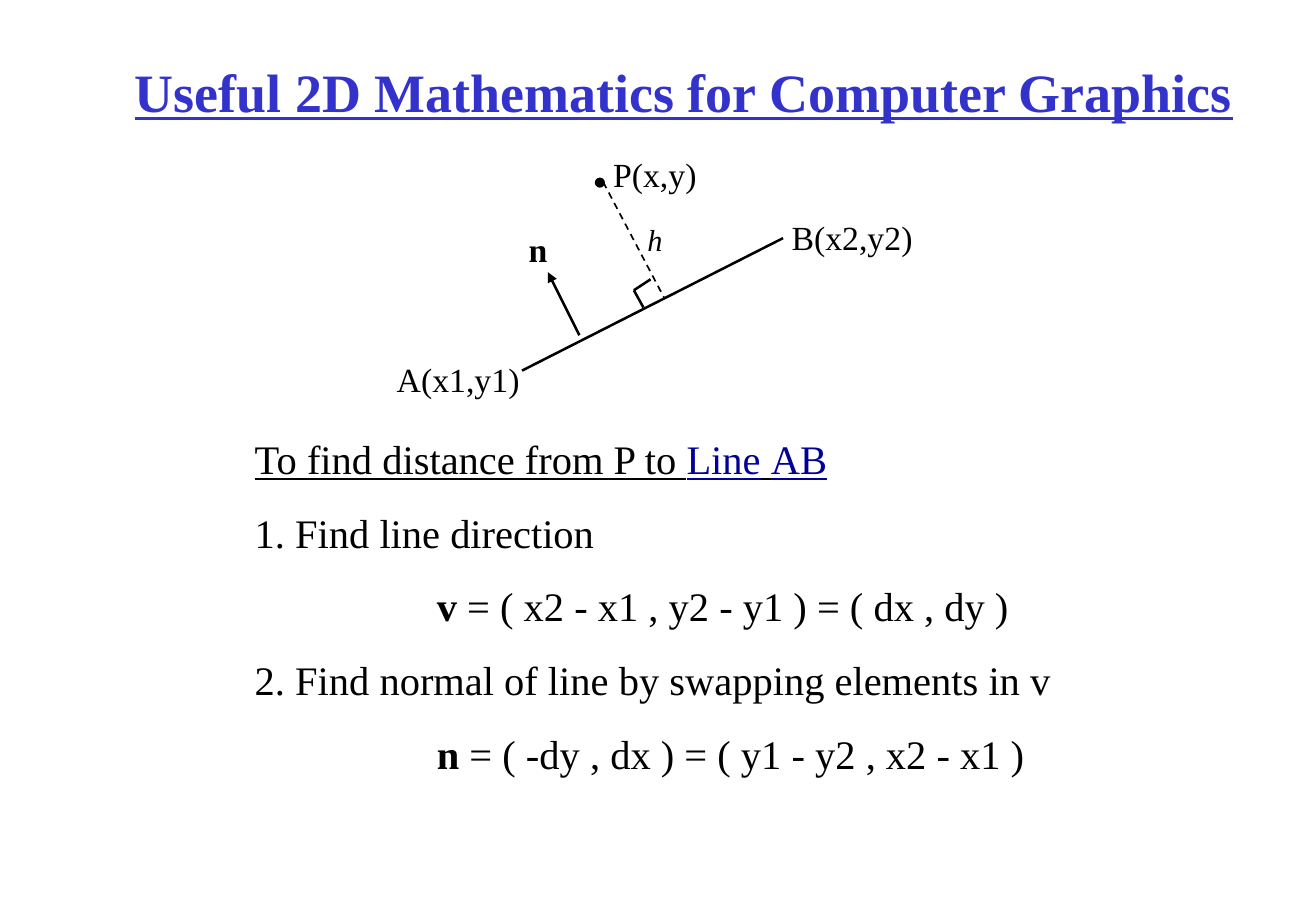
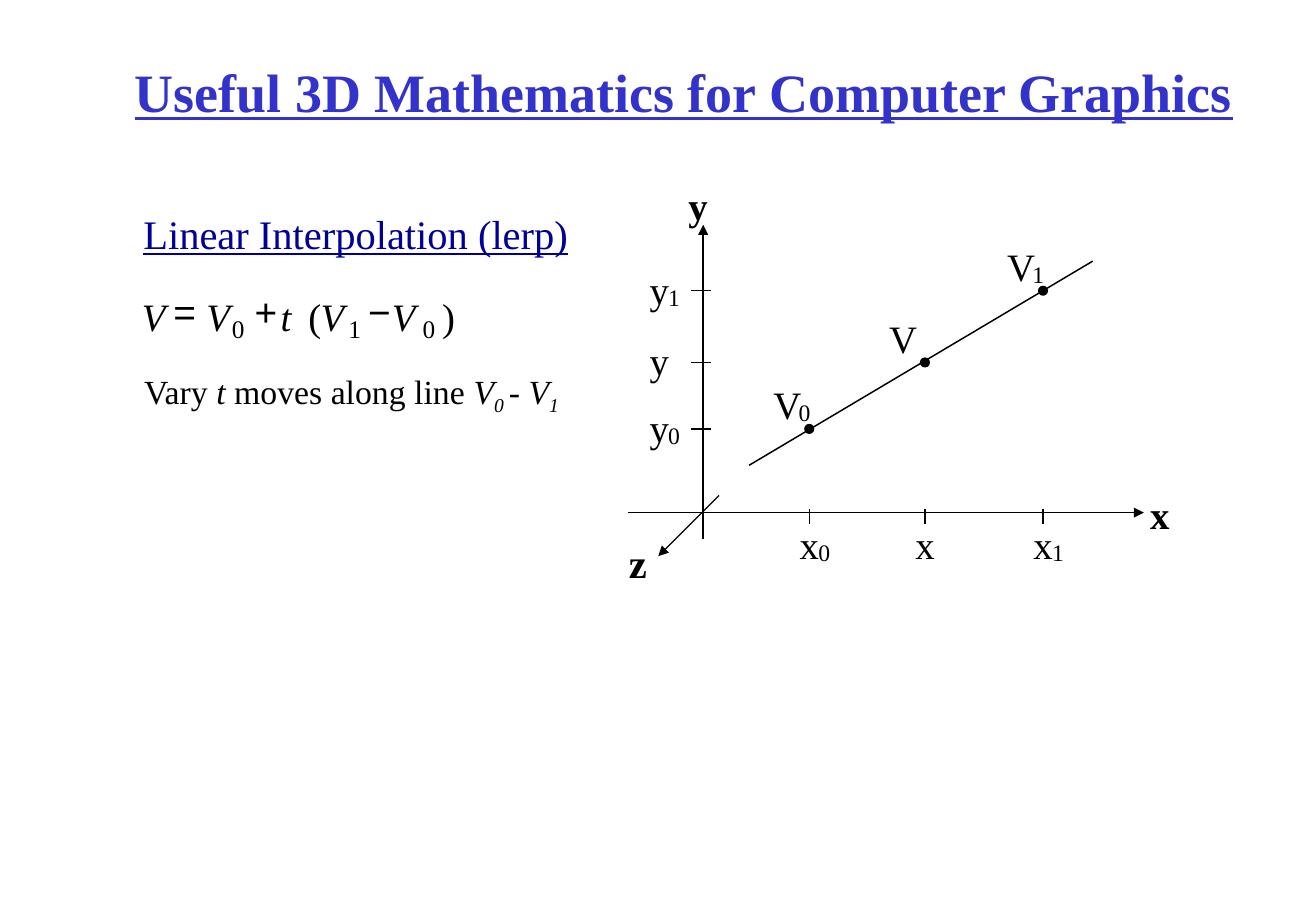
from dataclasses import dataclass

from lxml import etree
from pptx import Presentation
from pptx.dml.color import RGBColor
from pptx.enum import dml, shapes, text
from pptx.oxml import ns
from pptx.util import Cm, Pt

BLACK, TITLE_BLUE, LINK_BLUE = "000000", "3333CC", "000099"
SERIF, SANS = "Times New Roman", "Arial"
INSET_X, INSET_Y = 0.25, 0.13
LEFT, CENTER = text.PP_ALIGN.LEFT, text.PP_ALIGN.CENTER


@dataclass(frozen=True)
class Label:
    words: str
    left: float
    top: float
    width: float
    height: float = 1.12
    size: float = 20
    bold: bool = False
    italic: bool = False
    inset: bool = True


@dataclass(frozen=True)
class Glyph:
    sign: str
    left: float
    top: float
    size: float = 23
    font: str = SERIF
    bold: bool = False
    italic: bool = False


@dataclass(frozen=True)
class Segment:
    x1: float
    y1: float
    x2: float
    y2: float
    weight: float = 0.88
    arrow: bool = False
    dashed: bool = False


@dataclass(frozen=True)
class Vertex:
    x: float
    y: float
    index: str


def color(value: str) -> RGBColor:
    return RGBColor.from_string(value)


def write(paragraph, words: str, size: float = 24, font: str = SERIF, tint: str = BLACK,
          bold: bool = False, italic: bool = False, underline: bool = False,
          baseline: int = 0) -> None:
    run = paragraph.add_run()
    run.text = words
    run.font.size, run.font.name = Pt(size), font
    run.font.bold, run.font.italic, run.font.underline = bold, italic, underline
    run.font.color.rgb = color(tint)
    if baseline:
        run.font._element.set("baseline", str(baseline * 1000))


def add_box(slide, left: float, top: float, width: float, height: float,
            wrap: bool = True, inset: bool = True):
    frame = slide.shapes.add_textbox(Cm(left), Cm(top), Cm(width), Cm(height)).text_frame
    frame.word_wrap = wrap
    frame.auto_size = text.MSO_AUTO_SIZE.SHAPE_TO_FIT_TEXT
    frame.margin_left = frame.margin_right = Cm(INSET_X if inset else 0)
    frame.margin_top = frame.margin_bottom = Cm(INSET_Y if inset else 0)
    return frame


def add_label(slide, label: Label) -> None:
    frame = add_box(slide, label.left, label.top, label.width, label.height,
                    wrap=False, inset=label.inset)
    frame.paragraphs[0].alignment = CENTER
    write(frame.paragraphs[0], label.words, size=label.size, bold=label.bold,
          italic=label.italic)


def add_glyph(slide, glyph: Glyph) -> None:
    width = glyph.size * 0.018
    frame = add_box(slide, glyph.left, glyph.top, width, glyph.size * 0.042,
                    wrap=False, inset=False)
    write(frame.paragraphs[0], glyph.sign, size=glyph.size, font=glyph.font,
          bold=glyph.bold, italic=glyph.italic)


def add_indexed(slide, letter: str, index: str, left: float, top: float) -> None:
    add_glyph(slide, Glyph(letter, left, top))
    if index:
        shift = 0.53 if letter == "V" else 0.39
        add_glyph(slide, Glyph(index, left + shift, top + 0.36, size=14))


def add_segment(slide, segment: Segment) -> None:
    connector = slide.shapes.add_connector(
        shapes.MSO_CONNECTOR.STRAIGHT, Cm(segment.x1), Cm(segment.y1),
        Cm(segment.x2), Cm(segment.y2))
    connector.line.width = Pt(segment.weight)
    connector.line.color.rgb = color(BLACK)
    if segment.dashed:
        connector.line.dash_style = dml.MSO_LINE.DASH
    if segment.arrow:
        head = etree.SubElement(connector.line._get_or_add_ln(), ns.qn("a:tailEnd"))
        head.set("type", "triangle")
    etree.SubElement(connector._element.spPr, ns.qn("a:effectLst"))


def add_dot(slide, x: float, y: float, diameter: float = 0.18) -> None:
    dot = slide.shapes.add_shape(
        shapes.MSO_SHAPE.OVAL, Cm(x - diameter / 2), Cm(y - diameter / 2),
        Cm(diameter), Cm(diameter))
    dot.shadow.inherit = False
    dot.fill.solid()
    dot.fill.fore_color.rgb = color(BLACK)
    dot.line.color.rgb = color(BLACK)
    dot.line.width = Pt(0.88)


def add_titled_slide(deck, words: str):
    slide = deck.slides.add_slide(deck.slide_layouts[5])
    title = slide.shapes.title
    title.left, title.top, title.width, title.height = Cm(2.57), Cm(1.09), Cm(24.1), Cm(1.63)
    frame = title.text_frame
    frame.word_wrap = True
    frame.auto_size = text.MSO_AUTO_SIZE.NONE
    frame.vertical_anchor = text.MSO_ANCHOR.TOP
    frame.paragraphs[0].alignment = LEFT
    write(frame.paragraphs[0], words, size=32, tint=TITLE_BLUE, bold=True, underline=True)
    return slide


def build_distance_slide(deck) -> None:
    slide = add_titled_slide(deck, "Useful 2D Mathematics for Computer Graphics")
    for label in (
        Label("h", 13.5, 4.62, 0.41, 0.76, size=18, italic=True, inset=False),
        Label("A(x1,y1)", 7.85, 7.37, 3.47),
        Label("B(x2,y2)", 16.09, 4.41, 3.47),
        Label("P(x,y)", 12.4, 3.08, 2.6),
        Label("n", 10.7, 4.65, 1.11, bold=True),
    ):
        add_label(slide, label)
    add_dot(slide, 12.55, 3.82)
    for segment in (
        Segment(16.38, 4.98, 10.92, 7.75, weight=1.5),
        Segment(12.62, 3.81, 13.89, 6.22, weight=1, dashed=True),
        Segment(12.12, 7.01, 11.46, 5.69, weight=1.5, arrow=True),
        Segment(13.46, 6.43, 13.26, 6.07, weight=1.5),
        Segment(13.26, 6.07, 13.61, 5.84, weight=1.5),
    ):
        add_segment(slide, segment)

    steps = add_box(slide, 5.08, 8.94, 18.62, 7.47)
    heading = steps.paragraphs[0]
    for words, tint in (("To find distance from P to ", BLACK), ("Line", LINK_BLUE),
                        (" ", BLACK), ("AB", LINK_BLUE)):
        write(heading, words, tint=tint, underline=True)
    for vector, words in (
        ("", "1. Find line direction"),
        ("v", " = ( x2 - x1 , y2 - y1 ) = ( dx , dy )"),
        ("", "2. Find normal of line by swapping elements in v"),
        ("n", " = ( -dy , dx ) = ( y1 - y2 , x2 - x1 )"),
    ):
        step = steps.add_paragraph()
        step.space_before = Pt(15)
        if vector:
            step._p.get_or_add_pPr().set("marL", str(Cm(3.81)))
            write(step, vector, bold=True)
        write(step, words)


def build_lerp_slide(deck) -> None:
    slide = add_titled_slide(deck, "Useful 3D Mathematics for Computer Graphics")
    heading = add_box(slide, 2.75, 4.24, 14.4, 1.27).paragraphs[0]
    write(heading, "Linear Interpolation (lerp)", tint=LINK_BLUE, underline=True)

    origin_x, origin_y = 14.71, 10.72
    for segment in (
        Segment(origin_x, 11.28, origin_x, 4.7, arrow=True),
        Segment(13.13, origin_y, 23.93, origin_y, arrow=True),
        Segment(15.04, 10.36, 13.77, 11.63, weight=0.75, arrow=True),
        Segment(15.67, 9.73, 22.86, 5.46),
    ):
        add_segment(slide, segment)
    for vertex in (Vertex(16.93, 8.97, "0"), Vertex(19.35, 7.58, ""),
                   Vertex(21.82, 6.08, "1")):
        add_dot(slide, vertex.x, vertex.y)
        add_segment(slide, Segment(14.45, vertex.y, 14.88, vertex.y))
        add_segment(slide, Segment(vertex.x, 10.65, vertex.x, 10.96))
        add_indexed(slide, "V", vertex.index, vertex.x - 0.75, vertex.y - 1)
        add_indexed(slide, "y", vertex.index, 13.59, vertex.y - 0.53)
        add_indexed(slide, "x", vertex.index, vertex.x - 0.2, 10.88)
    add_glyph(slide, Glyph("y", 14.4, 3.81, bold=True))
    add_glyph(slide, Glyph("x", 24.06, 10.26, bold=True))
    add_label(slide, Label("z", 12.8, 11.13, 1.09, 1.27, size=24, bold=True))

    letter_top, index_top, operator_top = 6.12, 6.56, 6.02
    for sign, left in (("V", 2.97), ("V", 4.32), ("t", 5.87), ("V", 6.71), ("V", 8.2)):
        add_glyph(slide, Glyph(sign, left, letter_top, italic=True))
    for sign, left in (("(", 6.45), (")", 9.25)):
        add_glyph(slide, Glyph(sign, left, letter_top))
    for sign, left in (("0", 4.85), ("1", 7.29), ("0", 8.84)):
        add_glyph(slide, Glyph(sign, left, index_top, size=15))
    for sign, left in (("=", 3.63), ("+", 5.33), ("−", 7.7)):
        add_glyph(slide, Glyph(sign, left, operator_top, font=SANS))

    remark = add_box(slide, 2.52, 7.62, 9.67, 1.22, wrap=False).paragraphs[0]
    remark.alignment = CENTER
    for words, italic, baseline in (
        ("Vary ", False, 0), ("t", True, 0), (" moves along line ", False, 0),
        ("V", True, 0), ("0 ", True, -25), ("- V", True, 0), ("1", True, -25),
    ):
        write(remark, words, size=20, italic=italic, baseline=baseline)


def main() -> None:
    deck = Presentation()
    deck.slide_width, deck.slide_height = Cm(27.53), Cm(19.05)
    build_distance_slide(deck)
    build_lerp_slide(deck)
    deck.save("out.pptx")


if __name__ == "__main__":
    main()
